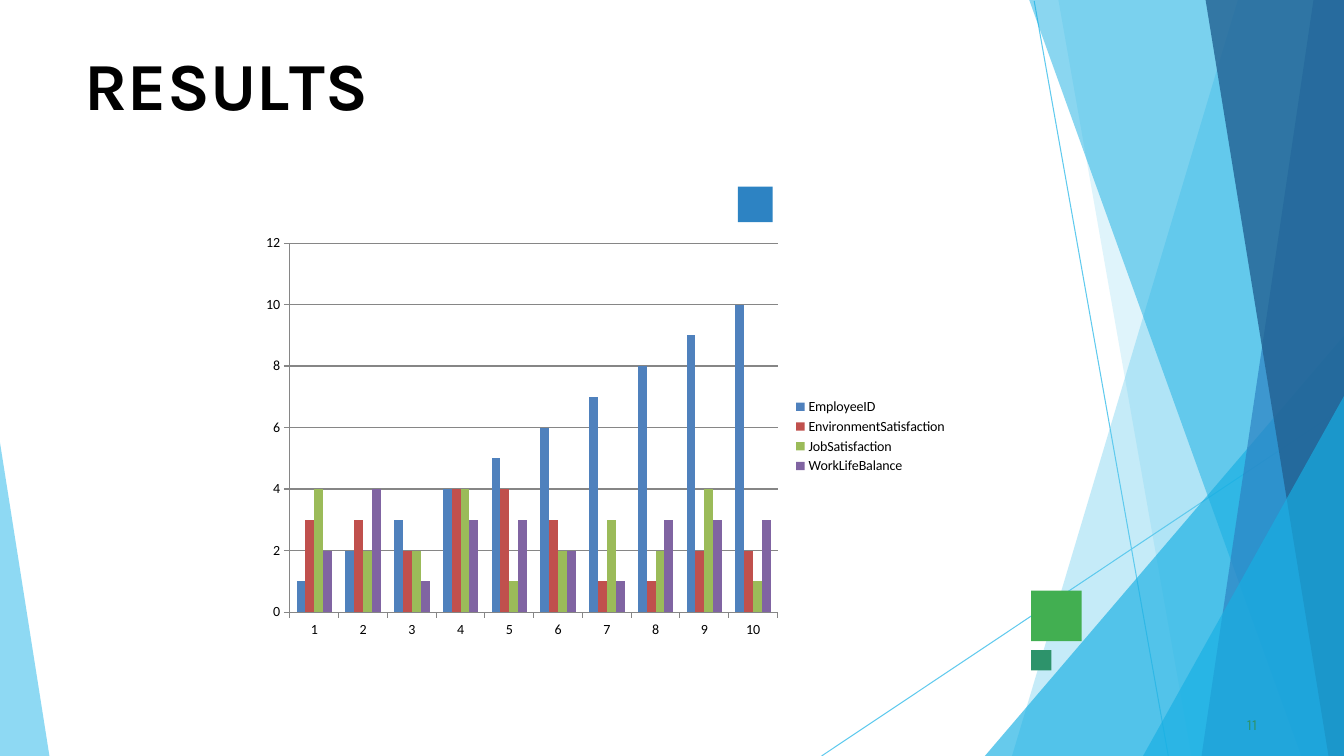
from lxml import etree
from pptx import Presentation
from pptx.chart.data import CategoryChartData
from pptx.dml.color import RGBColor
from pptx.enum.chart import XL_CHART_TYPE, XL_LEGEND_POSITION, XL_TICK_MARK
from pptx.enum.shapes import MSO_CONNECTOR, MSO_SHAPE
from pptx.enum.text import MSO_ANCHOR
from pptx.oxml.ns import qn
from pptx.util import Inches, Pt

BLACK = RGBColor(0x00, 0x00, 0x00)
GRAY = RGBColor(0x86, 0x86, 0x86)
SKY = RGBColor(0x5F, 0xCA, 0xEE)
CYAN = RGBColor(0x17, 0xAF, 0xE3)
BLUE = RGBColor(0x2D, 0x83, 0xC3)
NAVY = RGBColor(0x22, 0x61, 0x92)
GREEN = RGBColor(0x42, 0xAF, 0x51)
TEAL = RGBColor(0x2D, 0x93, 0x6B)
BAR_BLUE = RGBColor(0x4F, 0x81, 0xBD)
BAR_RED = RGBColor(0xC0, 0x50, 0x4D)
BAR_GREEN = RGBColor(0x9B, 0xBB, 0x59)
BAR_PURPLE = RGBColor(0x80, 0x64, 0xA2)

prs = Presentation()
prs.slide_width, prs.slide_height = Inches(13.33), Inches(7.5)
s = prs.slides.add_slide(prs.slide_layouts[6])


def share(*percents):
    sides = (prs.slide_width, prs.slide_height)
    return [round(sides[i % 2] * v / 100) for i, v in enumerate(percents)]


def polygon(points, color, opacity):
    pts = [share(*pt) for pt in points]
    builder = s.shapes.build_freeform(*pts[0], scale=1.0)
    builder.add_line_segments(pts[1:], close=True)
    sp = builder.convert_to_shape()
    sp.shadow.inherit = False
    sp.line.fill.background()
    sp.fill.solid()
    sp.fill.fore_color.rgb = color
    clr = sp.fill._xPr.find(qn("a:solidFill"))[0]
    etree.SubElement(clr, qn("a:alpha"), val=str(opacity * 1000))


for ends in [(76.95, 0.13, 86.93, 100), (100, 53.87, 61.13, 100)]:
    ray = s.shapes.add_connector(MSO_CONNECTOR.STRAIGHT, *share(*ends))
    ray.line.color.rgb = SKY
    ray.line.width = Pt(0.75)
    etree.SubElement(ray._element.spPr, qn("a:effectLst"))

bands = [
    (0, 92.1, 75.3, SKY, 36),
    (0, 78.75, 88.65, SKY, 20),
    (44.4, 100, 73.28, CYAN, 66),
    (0, 76.58, 96.83, CYAN, 50),
    (0, 97.73, 89.4, BLUE, 70),
    (0, 89.7, 98.85, NAVY, 80),
    (52.4, 100, 85.05, CYAN, 66),
]
for top, x_top, x_bottom, color, opacity in bands:
    corners = [(100, top), (x_bottom, 100), (100, 100)]
    if x_top < 100:
        corners.insert(1, (x_top, top))
    polygon(corners, color, opacity)
polygon([(0, 58.53), (0, 100), (3.68, 100)], SKY, 70)

squares = [
    (76.73, 78.13, 3.75, 6.67, GREEN),
    (54.9, 24.67, 2.59, 4.73, BLUE),
    (76.73, 86, 1.5, 2.67, TEAL),
]
for *box, color in squares:
    sp = s.shapes.add_shape(MSO_SHAPE.RECTANGLE, *share(*box))
    sp.shadow.inherit = False
    sp.fill.solid()
    sp.fill.fore_color.rgb = color
    sp.line.fill.background()

title_runs = [("R", 0), ("E", -0.4), ("S", 0.1), ("U", -0.3), ("L", -4), ("TS", 0)]
texts = [
    ((6.23, 5.6, 87.6, 11.07), 0.01, 1.1, title_runs,
     {"size": Pt(48), "bold": True}, BLACK),
    ((92.48, 94.4, 1.88, 2.8), 0.04, 0.6, [("11", 0.1)],
     {"size": Pt(11), "bold": False}, TEAL),
]
for box, left, before, runs, font, color in texts:
    tf = s.shapes.add_textbox(*share(*box)).text_frame
    frame = {"word_wrap": True, "vertical_anchor": MSO_ANCHOR.TOP,
             "margin_left": Inches(left), "margin_top": Inches(0.01),
             "margin_right": 0, "margin_bottom": 0}
    for name, value in frame.items():
        setattr(tf, name, value)
    p = tf.paragraphs[0]
    p.space_before = Pt(before)
    for text, spacing in runs:
        r = p.add_run()
        r.text = text
        for name, value in {"name": "Karla", **font}.items():
            setattr(r.font, name, value)
        r.font.color.rgb = color
        r.font._element.set("spc", str(round(spacing * 100)))

series = [
    ("EmployeeID", range(1, 11), BAR_BLUE),
    ("EnvironmentSatisfaction", (3, 3, 2, 4, 4, 3, 1, 1, 2, 2), BAR_RED),
    ("JobSatisfaction", (4, 2, 2, 4, 1, 2, 3, 2, 4, 1), BAR_GREEN),
    ("WorkLifeBalance", (2, 4, 1, 3, 3, 2, 1, 3, 3, 3), BAR_PURPLE),
]
data = CategoryChartData()
data.categories = [str(n) for n in range(1, 11)]
for name, values, color in series:
    data.add_series(name, values)
chart = s.shapes.add_chart(XL_CHART_TYPE.COLUMN_CLUSTERED,
                           *share(18.75, 30, 52.5, 55.47), data).chart
chart.has_title = False
chart.font.name = "Calibri"
chart.font.size = Pt(10)
chart.font.color.rgb = BLACK

plot = chart.plots[0]
plot.gap_width = 150
plot.overlap = 0
plot.vary_by_categories = False
for bars, (name, values, color) in zip(plot.series, series):
    bars.format.fill.solid()
    bars.format.fill.fore_color.rgb = color

for axis in (chart.category_axis, chart.value_axis):
    axis.major_tick_mark = XL_TICK_MARK.OUTSIDE
    axis.minor_tick_mark = XL_TICK_MARK.NONE
    axis.format.line.color.rgb = GRAY
    axis.format.line.width = Pt(0.75)
value_axis = chart.value_axis
for name, value in {"minimum_scale": 0, "maximum_scale": 12, "major_unit": 2,
                    "has_major_gridlines": True}.items():
    setattr(value_axis, name, value)
value_axis.major_gridlines.format.line.color.rgb = GRAY
value_axis.major_gridlines.format.line.width = Pt(0.75)

chart.has_legend = True
chart.legend.position = XL_LEGEND_POSITION.RIGHT
chart.legend.include_in_layout = False

prs.save("out.pptx")
